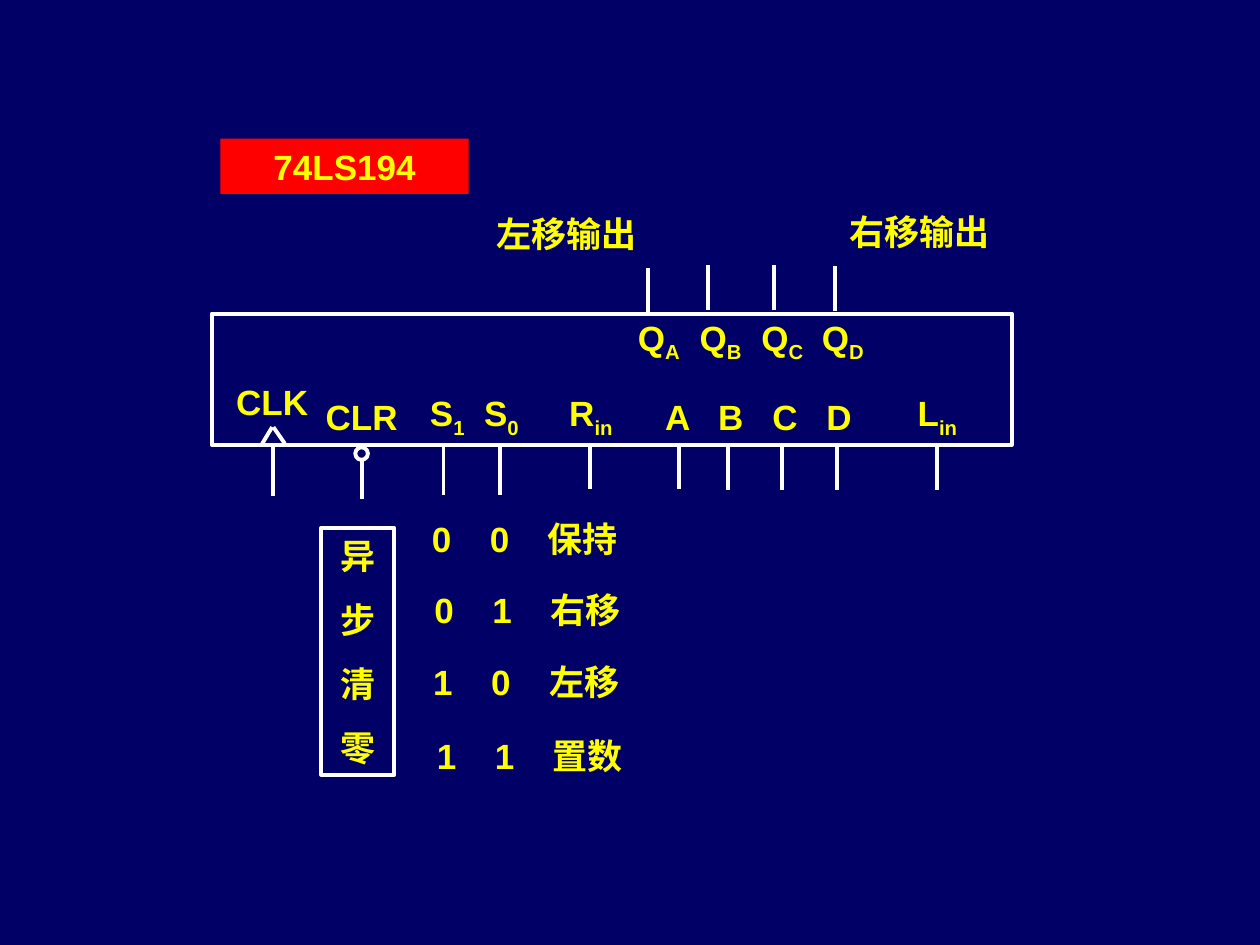
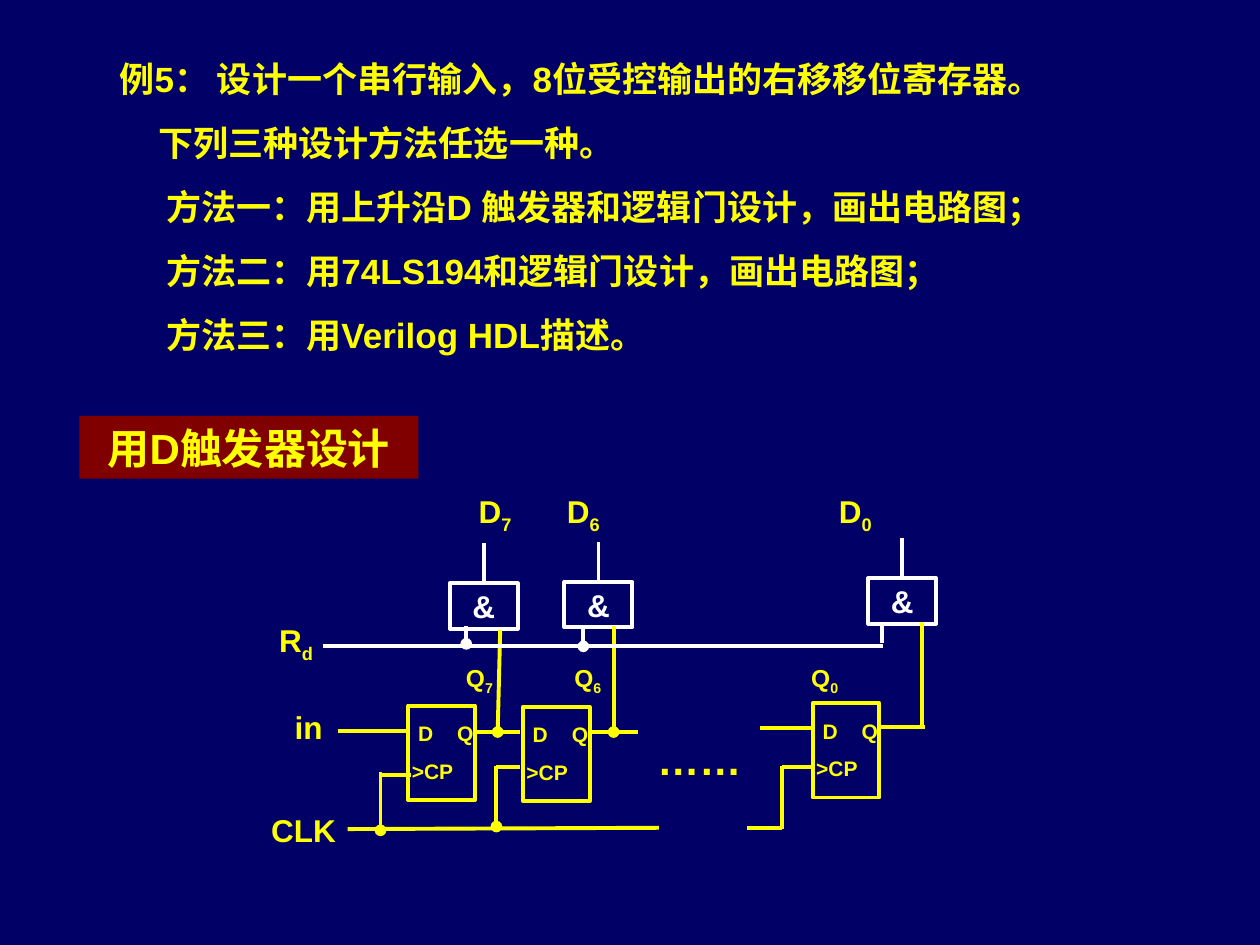
"""Builds two slides on the 74LS194 shift register and a D flip-flop design."""
from dataclasses import dataclass

import pptx
import pptx.dml.color
import pptx.enum.shapes
import pptx.enum.text
import pptx.oxml.ns
import pptx.util
from lxml import etree

Inches = pptx.util.Inches
Pt = pptx.util.Pt
RGB = pptx.dml.color.RGBColor.from_string
SHAPE = pptx.enum.shapes.MSO_SHAPE
LEFT = pptx.enum.text.PP_ALIGN.LEFT
CENTER = pptx.enum.text.PP_ALIGN.CENTER
qn = pptx.oxml.ns.qn


@dataclass(frozen=True)
class Theme:
    font: str = "Arial"
    background: str = "000066"
    yellow: str = "FFFF00"
    white: str = "FFFFFF"
    red: str = "FF0000"
    maroon: str = "800000"
    line: float = 2.25
    heading: int = 24
    body: int = 20
    signal: int = 18
    output: int = 14
    pin: int = 12
    spacing: float = 12.5


class Deck:
    def __init__(self, theme):
        self.theme = theme
        self.prs = pptx.Presentation()
        self.prs.slide_width = Inches(10)
        self.prs.slide_height = Inches(7.5)
        self.s = None

    def slide(self):
        self.s = self.prs.slides.add_slide(self.prs.slide_layouts[6])
        fill = self.s.background.fill
        fill.solid()
        fill.fore_color.rgb = RGB(self.theme.background)

    def fill_text(self, tf, lines, size, align, color, indents=(), tabs=()):
        tf.word_wrap = True
        for i, line in enumerate(lines):
            p = tf.paragraphs[0] if i == 0 else tf.add_paragraph()
            p.alignment = align
            p.space_before = Pt(self.theme.spacing if i else 0)
            pPr = p._p.get_or_add_pPr()
            if indents:
                pPr.set("marL", str(Inches(indents[i])))
            if tabs:
                tab_list = etree.SubElement(pPr, qn("a:tabLst"))
                for tab in tabs:
                    etree.SubElement(tab_list, qn("a:tab"), pos=str(Inches(tab)), algn="l")
            for n, part in enumerate(line.split("_")):
                r = p.add_run()
                r.text = part
                r.font.name = self.theme.font
                r.font.size = Pt(size)
                r.font.bold = True
                r.font.color.rgb = RGB(color)
                if n:
                    r._r.get_or_add_rPr().set("baseline", "-25000")

    def text(self, lines, left, top, width, height, size, align=LEFT, **layout):
        sp = self.s.shapes.add_textbox(Inches(left), Inches(top), Inches(width), Inches(height))
        self.fill_text(sp.text_frame, lines, size, align, self.theme.yellow, **layout)

    def label(self, line, left, top, size, **layout):
        self.text([line], left, top, 1.9, 0.44, size, **layout)

    def centred(self, line, middle, top, size):
        self.text([line], middle - 0.5, top, 1, 0.44, size, CENTER)

    def box(self, left, top, width, height, fill=None, line=None, lines=(),
            size=None, color=None, kind=SHAPE.RECTANGLE):
        sp = self.s.shapes.add_shape(kind, Inches(left), Inches(top), Inches(width), Inches(height))
        sp.shadow.inherit = False
        if fill:
            sp.fill.solid()
            sp.fill.fore_color.rgb = RGB(fill)
        else:
            sp.fill.background()
        if line:
            sp.line.color.rgb = RGB(line)
            sp.line.width = Pt(self.theme.line)
        else:
            sp.line.fill.background()
        if lines:
            self.fill_text(sp.text_frame, lines, size, CENTER, color or self.theme.yellow)
        return sp

    def wire(self, x1, y1, x2, y2, color, dot=False, start=None):
        cx = self.s.shapes.add_connector(
            pptx.enum.shapes.MSO_CONNECTOR.STRAIGHT,
            Inches(x1), Inches(y1), Inches(x2), Inches(y2))
        cx.line.color.rgb = RGB(color)
        cx.line.width = Pt(self.theme.line)
        if dot:
            etree.SubElement(cx.line._get_or_add_ln(), qn("a:headEnd"), type="oval")
        etree.SubElement(cx._element.spPr, qn("a:effectLst"))
        if start:
            cx.begin_connect(start, 0)


def register_slide(d):
    t = d.theme
    d.slide()
    d.box(1.68, 2.49, 6.35, 1.04, line=t.white)
    d.box(1.75, 1.1, 1.97, 0.44, fill=t.red, lines=["74LS194"], size=t.body)
    d.label("左移输出", 3.84, 1.64, t.body)
    d.label("右移输出", 6.64, 1.62, t.body)

    for name, middle, x, bottom in (("Q_A", 5.23, 5.14, 2.49), ("Q_B", 5.72, 5.62, 2.46),
                                    ("Q_C", 6.21, 6.14, 2.46), ("Q_D", 6.69, 6.63, 2.47)):
        d.centred(name, middle, 2.46, t.body)
        d.wire(x, bottom, x, bottom - 0.36, t.white)

    for name, middle, top, x, start, end in (
            ("CLK", 2.16, 2.97, 2.17, 3.54, 3.94), ("CLR", 2.87, 3.09, 2.87, 3.65, 3.96),
            ("S_1", 3.55, 3.06, 3.52, 3.54, 3.93), ("S_0", 3.98, 3.06, 3.97, 3.54, 3.93),
            ("R_in", 4.69, 3.06, 4.68, 3.54, 3.88), ("A", 5.38, 3.09, 5.39, 3.54, 3.88),
            ("B", 5.8, 3.09, 5.78, 3.54, 3.89), ("C", 6.23, 3.09, 6.21, 3.54, 3.89),
            ("D", 6.66, 3.09, 6.64, 3.54, 3.89), ("L_in", 7.44, 3.06, 7.44, 3.54, 3.89)):
        d.centred(name, middle, top, t.body)
        d.wire(x, start, x, end, t.white)
    d.wire(2.07, 3.54, 2.16, 3.39, t.white)
    d.wire(2.17, 3.39, 2.26, 3.52, t.white)
    d.box(2.82, 3.55, 0.1, 0.1, line=t.white, kind=SHAPE.OVAL)

    d.box(2.55, 4.19, 0.58, 1.96, line=t.white, lines="异步清零", size=t.body)
    for mode, left, top in (("0\t0\t保持", 3.33, 4.06), ("0\t1\t右移", 3.35, 4.62),
                            ("1\t0\t左移", 3.34, 5.19), ("1\t1\t置数", 3.37, 5.78)):
        d.label(mode, left, top, t.body, tabs=(0.46, 0.92))


def design_slide(d):
    t = d.theme
    d.slide()
    d.text(["例5： 设计一个串行输入，8位受控输出的右移移位寄存器。",
            "下列三种设计方法任选一种。",
            "方法一：用上升沿D 触发器和逻辑门设计，画出电路图；",
            "方法二：用74LS194和逻辑门设计，画出电路图；",
            "方法三：用Verilog HDL描述。"],
           0.85, 0.41, 8.57, 2.46, t.body, indents=(0, 0.31, 0.37, 0.37, 0.37))
    d.box(0.63, 3.3, 2.69, 0.5, fill=t.maroon, lines=["用D触发器设计"], size=t.heading)

    for bit, ff_x, ff_y, gate_x, gate_y, q_x, d_x in (
            (7, 3.24, 5.6, 3.57, 4.63, 3.6, 3.7),
            (6, 4.15, 5.61, 4.48, 4.62, 4.46, 4.4),
            (0, 6.45, 5.58, 6.89, 4.59, 6.34, 6.56)):
        d.box(ff_x, ff_y, 0.53, 0.75, line=t.yellow)
        d.label("D\tQ", ff_x - 0.02, ff_y + 0.07, t.pin, tabs=(0.31,))
        d.label(">CP", ff_x - 0.07, ff_y + 0.37, t.pin)
        gate = d.box(gate_x, gate_y, 0.54, 0.36, line=t.white, lines=["&"],
                     size=t.signal, color=t.white)
        stem = gate_x + 0.27
        d.wire(stem, gate_y, stem, gate_y - 0.32, t.white, start=gate)
        d.label(f"Q_{bit}", q_x, 5.21, t.output)
        d.label(f"D_{bit}", d_x, 3.86, t.signal)

    for name, middle, top in (("R_d", 2.35, 4.88), ("in", 2.45, 5.57), ("CLK", 2.41, 6.39)):
        d.centred(name, middle, top, t.signal)
    d.centred("……", 5.55, 5.77, t.heading)

    for ends in ((3.77, 5.81, 4.13, 5.81), (4.67, 5.81, 5.06, 5.81), (6.03, 5.78, 6.46, 5.78),
                 (6.98, 5.77, 7.34, 5.77), (7.32, 5.77, 7.32, 4.94), (2.68, 5.8, 3.23, 5.8),
                 (2.76, 6.58, 5.23, 6.57), (6.21, 6.58, 6.21, 6.08), (6.21, 6.09, 6.45, 6.09),
                 (3.94, 6.09, 4.13, 6.09), (3.02, 6.15, 3.26, 6.15), (6.21, 6.57, 5.93, 6.57)):
        d.wire(*ends, t.yellow)
    for ends in ((3.95, 5.81, 3.97, 5), (4.87, 5.81, 4.87, 4.97),
                 (3.94, 6.56, 3.94, 6.08), (3.02, 6.59, 3.02, 6.13)):
        d.wire(*ends, t.yellow, dot=True)
    d.wire(2.56, 5.13, 7.01, 5.13, t.white)
    d.wire(7, 4.97, 7, 5.1, t.white)
    for x, y in ((3.7, 5.11), (4.63, 5.13)):
        d.wire(x, y, x, 4.97, t.white, dot=True)


def main():
    d = Deck(Theme())
    register_slide(d)
    design_slide(d)
    d.prs.save("out.pptx")


if __name__ == "__main__":
    main()
